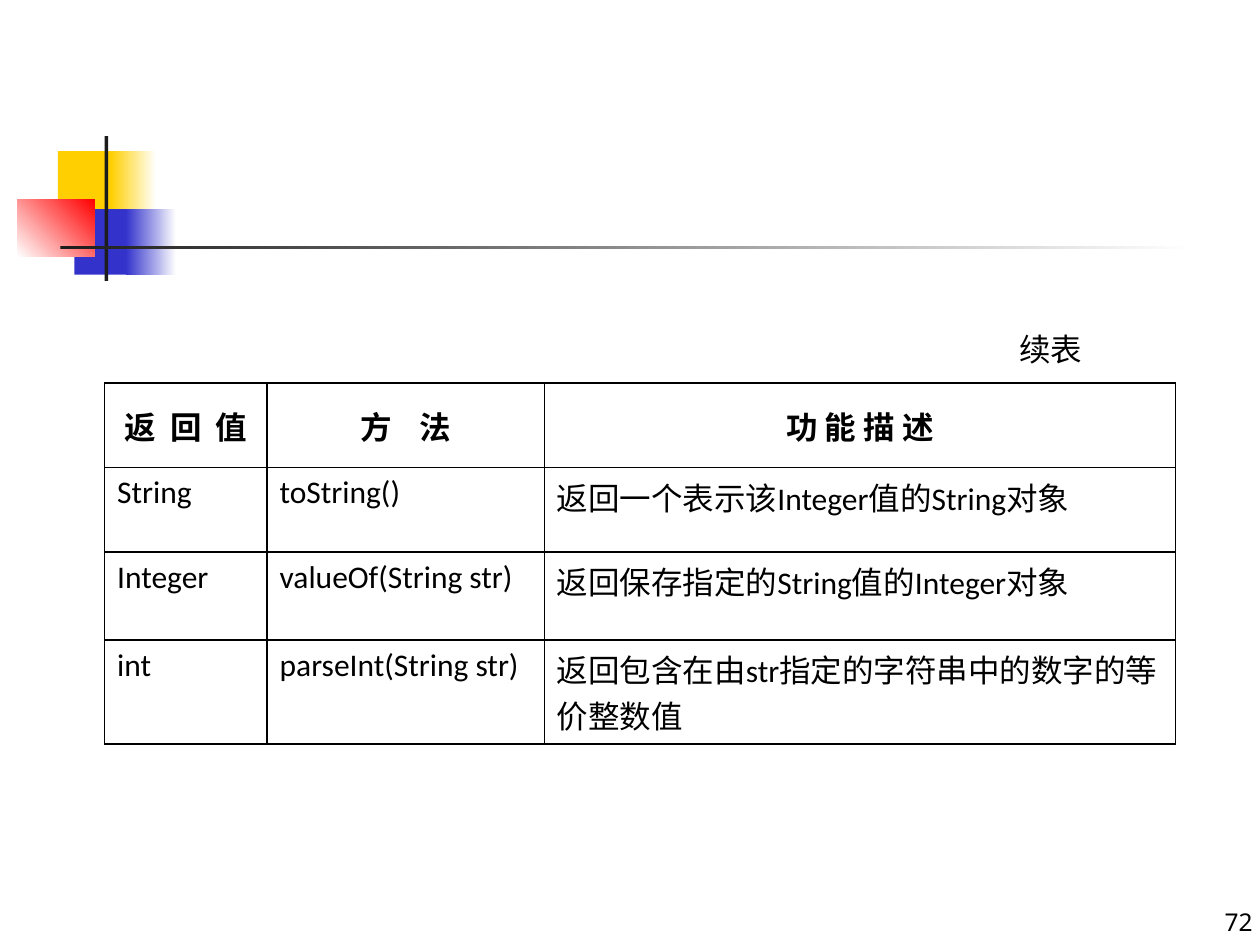
from lxml.etree import SubElement
from pptx import Presentation
from pptx.dml.color import RGBColor
from pptx.enum.shapes import MSO_SHAPE
from pptx.enum.text import MSO_ANCHOR, PP_ALIGN
from pptx.oxml import parse_xml
from pptx.oxml.ns import nsdecls, qn
from pptx.util import Inches, Pt

COLORS = {
    "white": "FFFFFF",
    "black": "000000",
    "ink": "1C1C1C",
    "yellow": "FFCF01",
    "blue": "3333CC",
    "red": "FF0000",
}

# left, top, width, height, colours (two make a gradient), angle
ORNAMENTS = [
    (0.46, 1.2, 0.48, 0.52, ["yellow"], 0),
    (0.88, 1.2, 0.36, 0.52, ["yellow", "white"], 0),
    (0.59, 1.66, 0.46, 0.52, ["blue"], 0),
    (1, 1.66, 0.4, 0.52, ["blue", "white"], 0),
    (0.14, 1.58, 0.61, 0.46, ["white", "red"], 45),
    (0.83, 1.08, 0.03, 1.15, ["ink"], 0),
    (0.48, 1.95, 9, 0.03, ["ink", "white"], 0),
]

# heading and its letter spacing in points
HEADINGS = [("返 回 值", 2), ("方 法", 6), ("功 能 描 述", 0)]
METHODS = [
    ("String", "toString()", "返回一个表示该Integer值的String对象"),
    ("Integer", "valueOf(String str)", "返回保存指定的String值的Integer对象"),
    ("int", "parseInt(String str)", "返回包含在由str指定的字符串中的数字的等价整数值"),
]
COLUMN_WIDTHS = [1.29, 2.2, 5.01]
ROW_HEIGHTS = [0.67, 0.67, 0.7, 0.7]


def rgb(name):
    """Return the named colour."""
    return RGBColor.from_string(COLORS[name])


def add_ornament(page, left, top, width, height, names, angle):
    """Add a borderless rectangle with a solid or gradient fill."""
    box = page.shapes.add_shape(
        MSO_SHAPE.RECTANGLE, Inches(left), Inches(top), Inches(width), Inches(height))
    box.shadow.inherit = False
    box.line.fill.background()
    if len(names) == 1:
        box.fill.solid()
        box.fill.fore_color.rgb = rgb(names[0])
        return
    box.fill.gradient()
    box.fill.gradient_angle = angle
    for stop, name in zip(box.fill.gradient_stops, names):
        stop.color.rgb = rgb(name)


def write(frame, text, font, size, bold=False, align=PP_ALIGN.LEFT):
    """Write one formatted paragraph and return it."""
    para = frame.paragraphs[0]
    para.add_run().text = text
    para.alignment = align
    para.font.name = font
    para.font.size = Pt(size)
    para.font.bold = bold
    para.font.color.rgb = rgb("black")
    return para


def add_label(page, left, top, width, height, text, font, size, align, anchor):
    """Add a text box with one line of text."""
    box = page.shapes.add_textbox(
        Inches(left), Inches(top), Inches(width), Inches(height))
    frame = box.text_frame
    frame.word_wrap = True
    frame.vertical_anchor = anchor
    write(frame, text, font, size, align=align)


def style_cell(cell):
    """Give a cell a white fill and thin black borders."""
    cell.fill.solid()
    cell.fill.fore_color.rgb = rgb("white")
    properties = cell._tc.get_or_add_tcPr()
    for index, side in enumerate(("lnL", "lnR", "lnT", "lnB")):
        line = parse_xml(f'<a:{side} {nsdecls("a")} w="{Pt(1)}"/>')
        fill = SubElement(line, qn("a:solidFill"))
        SubElement(fill, qn("a:srgbClr"), val=COLORS["black"])
        properties.insert(index, line)


def add_method_table(page):
    """Add the table of return values, methods and descriptions."""
    table = page.shapes.add_table(
        len(ROW_HEIGHTS), len(COLUMN_WIDTHS), Inches(0.83), Inches(3.04),
        Inches(sum(COLUMN_WIDTHS)), Inches(sum(ROW_HEIGHTS))).table
    for column, width in zip(table.columns, COLUMN_WIDTHS):
        column.width = Inches(width)
    for row, height in zip(table.rows, ROW_HEIGHTS):
        row.height = Inches(height)
    for cell in table.iter_cells():
        style_cell(cell)
    for cell, (text, spacing) in zip(table.rows[0].cells, HEADINGS):
        cell.vertical_anchor = MSO_ANCHOR.MIDDLE
        para = write(cell.text_frame, text, "Calibri", 18, True, PP_ALIGN.CENTER)
        para.runs[0]._r.get_or_add_rPr().set("spc", str(spacing * 100))
    for number, texts in enumerate(METHODS, 1):
        for cell, text in zip(table.rows[number].cells, texts):
            write(cell.text_frame, text, "Calibri", 18)


def main():
    """Build the slide and save it."""
    deck = Presentation()
    deck.slide_width, deck.slide_height = Inches(10), Inches(7.5)
    page = deck.slides.add_slide(deck.slide_layouts[6])
    for ornament in ORNAMENTS:
        add_ornament(page, *ornament)
    add_method_table(page)
    add_label(page, 7.99, 2.57, 0.84, 0.4, "续表", "Arial", 18,
              PP_ALIGN.LEFT, MSO_ANCHOR.TOP)
    add_label(page, 9.35, 6.98, 0.69, 0.5, "72", "Noto Sans", 14,
              PP_ALIGN.RIGHT, MSO_ANCHOR.BOTTOM)
    deck.save("out.pptx")


main()
